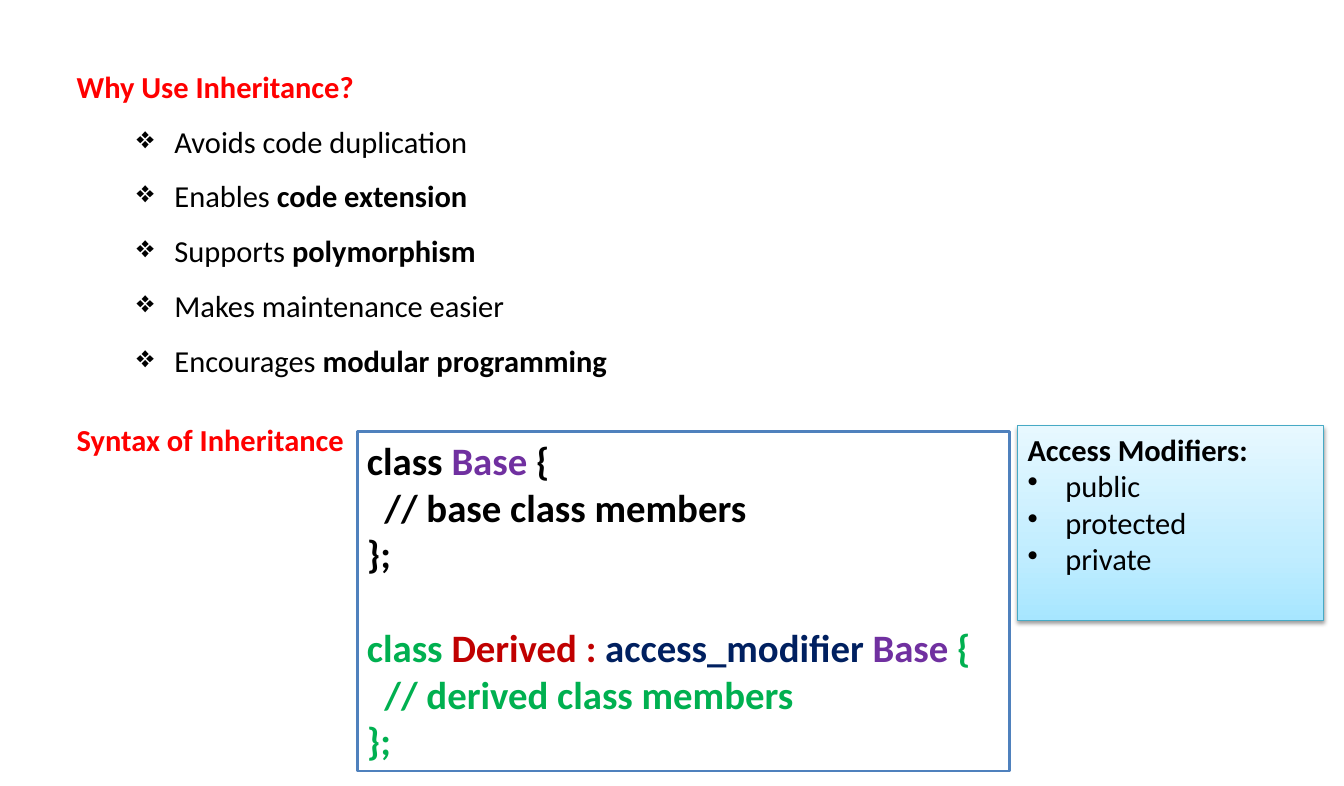
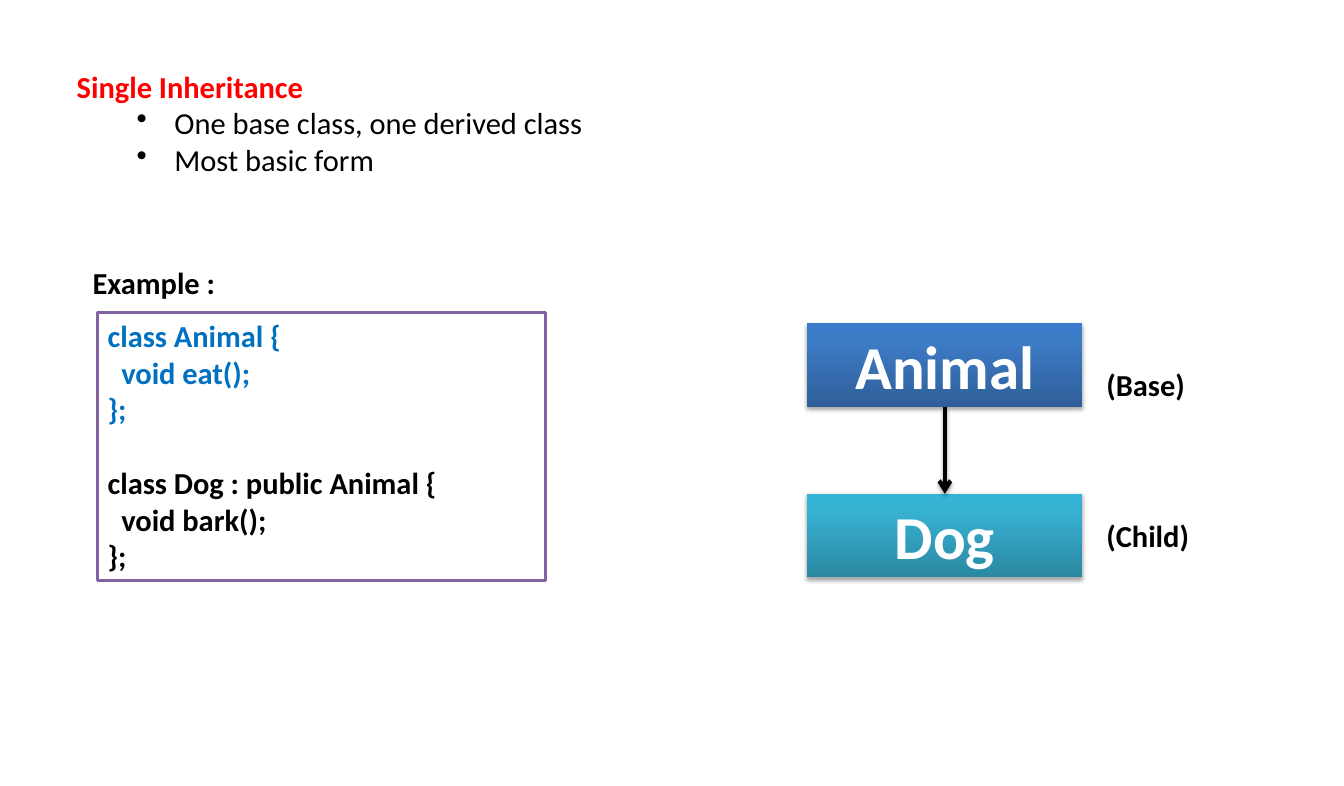
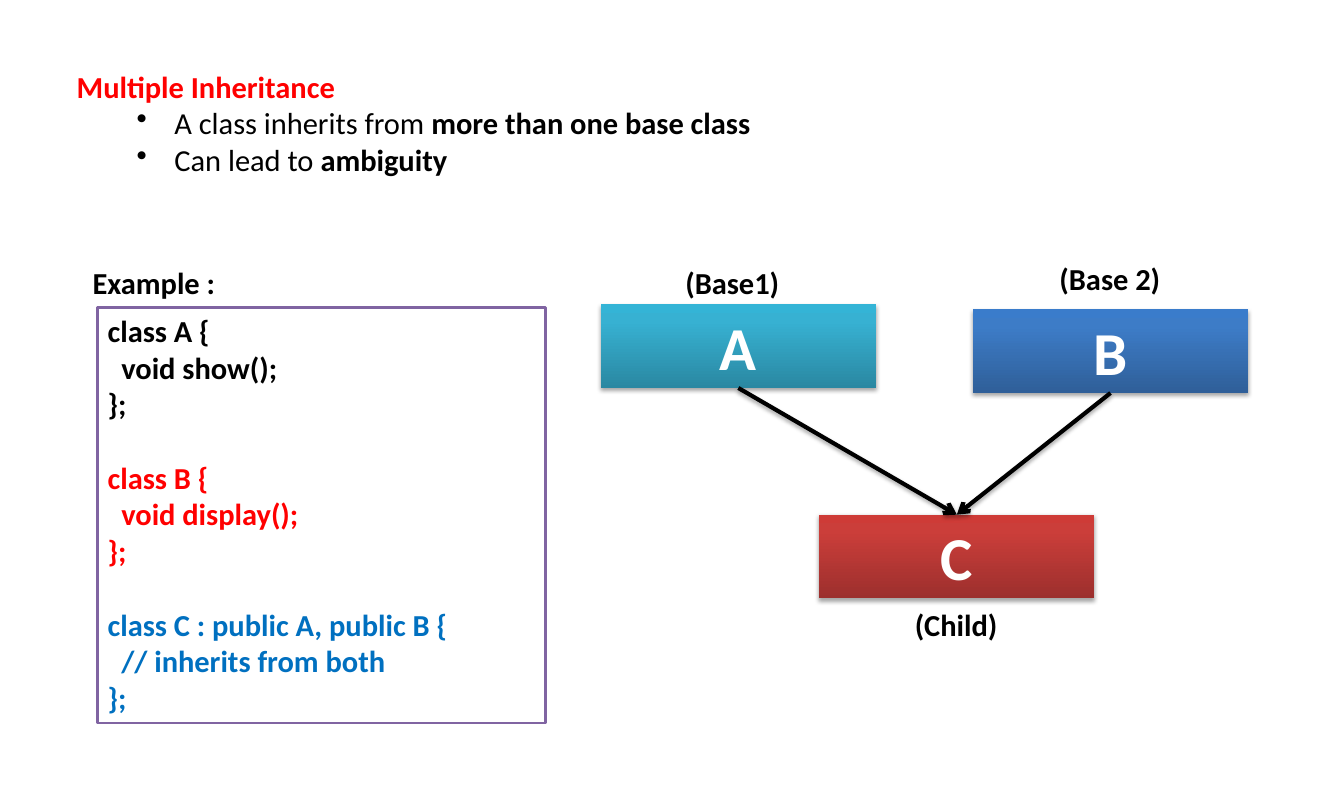
from copy import deepcopy

from lxml.etree import SubElement
from pptx import Presentation
from pptx.dml.color import RGBColor
from pptx.enum.shapes import MSO_CONNECTOR as Connector, MSO_SHAPE as Shape
from pptx.enum.text import MSO_ANCHOR as Anchor, PP_ALIGN as Align
from pptx.oxml.ns import qn
from pptx.util import Inches, Pt

BLACK = RGBColor(0x00, 0x00, 0x00)
WHITE = RGBColor(0xFF, 0xFF, 0xFF)
RED = RGBColor(0xFF, 0x00, 0x00)
DARK_RED = RGBColor(0xC0, 0x00, 0x00)
GREEN = RGBColor(0x00, 0xB0, 0x50)
BLUE = RGBColor(0x00, 0x70, 0xC0)
NAVY = RGBColor(0x00, 0x20, 0x60)
PURPLE = RGBColor(0x70, 0x30, 0xA0)
BORDER_BLUE = RGBColor(0x4F, 0x81, 0xBD)
BORDER_PURPLE = RGBColor(0x80, 0x64, 0xA2)
BORDER_CYAN = RGBColor(0x46, 0xAA, 0xC5)

BLUE_GRADIENT = (
    (0, RGBColor(0x2F, 0x5F, 0x99)),
    (0.8, RGBColor(0x3D, 0x7C, 0xC7)),
    (1, RGBColor(0x3A, 0x7C, 0xCB)),
)
CYAN_GRADIENT = (
    (0, RGBColor(0x2A, 0x88, 0xA2)),
    (0.8, RGBColor(0x37, 0xB1, 0xD2)),
    (1, RGBColor(0x34, 0xB4, 0xD6)),
)
RED_GRADIENT = (
    (0, RGBColor(0x9C, 0x2F, 0x2D)),
    (0.8, RGBColor(0xCB, 0x3E, 0x3A)),
    (1, RGBColor(0xCE, 0x3B, 0x37)),
)
PALE_GRADIENT = (
    (0, RGBColor(0xA7, 0xE6, 0xFF)),
    (0.35, RGBColor(0xC1, 0xED, 0xFF)),
    (1, RGBColor(0xE7, 0xF8, 0xFF)),
)


class Deck:
    font = "Calibri"
    body_size = 22
    node_size = 44
    line_height = 1.22
    code_indent = 0.45
    hanging = 0.38

    def __init__(self, width, height):
        self.presentation = Presentation()
        self.presentation.slide_width = Inches(width)
        self.presentation.slide_height = Inches(height)
        self.slide = None

    def new_slide(self):
        self.slide = self.presentation.slides.add_slide(self.presentation.slide_layouts[6])

    def add_text(self, shape, runs, size=body_size, align=Align.LEFT, before=0):
        frame = shape.text_frame
        frame.word_wrap = True
        frame.vertical_anchor = Anchor.TOP
        paragraph = frame.paragraphs[0]
        if paragraph.runs:
            paragraph = frame.add_paragraph()
        paragraph.alignment = align
        paragraph.space_before = Pt(before)
        for text, color, bold in runs:
            run = paragraph.add_run()
            run.text = text
            run.font.name = self.font
            run.font.size = Pt(size)
            run.font.bold = bold
            run.font.color.rgb = color
        return paragraph

    def bullet(self, shape, parts, mark="•", margin=hanging, spacing=1.0):
        runs = [(text, BLACK, index == 1) for index, text in enumerate(parts)]
        paragraph = self.add_text(shape, runs)
        paragraph.line_spacing = spacing
        properties = paragraph._p.get_or_add_pPr()
        properties.set("marL", str(Inches(margin)))
        properties.set("indent", str(-Inches(self.hanging)))
        SubElement(properties, qn("a:buChar")).set("char", mark)

    def label(self, text, left, top, width, height=0.47, color=BLACK):
        box = self.slide.shapes.add_textbox(
            Inches(left), Inches(top), Inches(width), Inches(height))
        self.add_text(box, [(text, color, True)])
        return box

    def topic(self, title, bullets, height, mark="•", spacing=1.0):
        box = self.label(title, 0.67, 0.63, 12.21, height, RED)
        for parts in bullets:
            self.bullet(box, parts, mark, 0.98, spacing)

    def effect(self, shape, alpha=None, distance=1.8):
        effects = SubElement(shape._element.spPr, qn("a:effectLst"))
        if alpha is None:
            return
        shadow = SubElement(effects, qn("a:outerShdw"))
        shadow.set("blurRad", str(Pt(3.1)))
        shadow.set("dist", str(Pt(distance)))
        shadow.set("dir", "5400000")
        shadow.set("rotWithShape", "0")
        color = SubElement(shadow, qn("a:srgbClr"))
        color.set("val", str(BLACK))
        SubElement(color, qn("a:alpha")).set("val", str(alpha * 1000))

    def rectangle(self, left, top, width, height, gradient=None, border=None, weight=2):
        shape = self.slide.shapes.add_shape(
            Shape.RECTANGLE, Inches(left), Inches(top), Inches(width), Inches(height))
        if gradient:
            shape.fill.gradient()
            shape.fill.gradient_angle = 90
            stop_list = next(shape._element.spPr.iter(qn("a:gsLst")))
            stop_list.append(deepcopy(stop_list[0]))
            for stop, (position, color) in zip(shape.fill.gradient_stops, gradient):
                stop.position = position
                stop.color.rgb = color
        else:
            shape.fill.solid()
            shape.fill.fore_color.rgb = WHITE
        if border:
            shape.line.color.rgb = border
            shape.line.width = Pt(weight)
        else:
            shape.line.fill.background()
        return shape

    def code(self, left, top, width, height, border, classes, size=body_size):
        shape = self.rectangle(left, top, width, height, border=border)
        self.effect(shape)
        for index, (color, header, body) in enumerate(classes):
            before = size * self.line_height if index else 0
            self.add_text(shape, [(text, tint, True) for text, tint in header], size, before=before)
            paragraph = self.add_text(shape, [(body, color, True)], size)
            paragraph._p.get_or_add_pPr().set("marL", str(Pt(size * self.code_indent)))
            self.add_text(shape, [("};", color, True)], size)

    def example(self, top, height, classes):
        blocks = [(color, [(header, color)], body) for color, header, body in classes]
        self.code(0.98, top, 4.49, height, BORDER_PURPLE, blocks)
        self.label("Example :", 0.83, 2.6, 6.73)

    def node(self, name, left, top, gradient):
        shape = self.rectangle(left, top, 2.76, 0.84, gradient)
        self.effect(shape, 35)
        self.add_text(shape, [(name, WHITE, True)], self.node_size, Align.CENTER)
        return shape

    def arrow(self, parent, child):
        connector = self.slide.shapes.add_connector(Connector.STRAIGHT, 0, 0, 0, 0)
        connector.begin_connect(parent, 2)
        connector.end_connect(child, 0)
        connector.line.color.rgb = BLACK
        connector.line.width = Pt(3)
        outline = connector._element.spPr.find(qn("a:ln"))
        SubElement(outline, qn("a:tailEnd")).set("type", "arrow")
        self.effect(connector, 35)

    def panel(self, title, items, left, top, width, height):
        shape = self.rectangle(left, top, width, height, PALE_GRADIENT, BORDER_CYAN, 0.75)
        self.effect(shape, 38, 1.6)
        self.add_text(shape, [(title, BLACK, True)])
        for item in items:
            self.bullet(shape, [item])


def overview(deck):
    deck.new_slide()
    deck.topic("Why Use Inheritance?", [
        ["Avoids code duplication"],
        ["Enables ", "code extension"],
        ["Supports ", "polymorphism"],
        ["Makes maintenance easier"],
        ["Encourages ", "modular programming"],
    ], 3.19, "❖", 1.5)
    deck.label("Syntax of Inheritance", 0.67, 4.17, 2.91, color=RED)
    base_header = [("class ", BLACK), ("Base", PURPLE), (" {", BLACK)]
    derived_header = [("class ", GREEN), ("Derived : ", DARK_RED), ("access_modifier ", NAVY),
                      ("Base", PURPLE), (" {", GREEN)]
    deck.code(3.58, 4.33, 6.54, 3.4, BORDER_BLUE, [
        (BLACK, base_header, "// base class members"),
        (GREEN, derived_header, "// derived class members"),
    ], 28)
    deck.panel("Access Modifiers:", ["public", "protected", "private"], 10.2, 4.27, 3.07, 1.95)


def single_inheritance(deck):
    deck.new_slide()
    deck.topic("Single Inheritance", [
        ["One base class, one derived class"],
        ["Most basic form"],
    ], 1.21)
    deck.example(3.13, 2.69, [
        (BLUE, "class Animal {", "void eat();"),
        (BLACK, "class Dog : public Animal {", "void bark();"),
    ])
    animal = deck.node("Animal", 8.09, 3.24, BLUE_GRADIENT)
    dog = deck.node("Dog", 8.09, 4.95, CYAN_GRADIENT)
    deck.arrow(animal, dog)
    deck.label("(Base)", 10.99, 3.62, 1.73)
    deck.label("(Child)", 10.99, 5.13, 1.1)


def multiple_inheritance(deck):
    deck.new_slide()
    deck.topic("Multiple Inheritance", [
        ["A class inherits from ", "more than one base class"],
        ["Can lead to ", "ambiguity"],
    ], 1.21)
    deck.example(3.08, 4.17, [
        (BLACK, "class A {", "void show();"),
        (RED, "class B {", "void display();"),
        (BLUE, "class C : public A, public B {", "// inherits from both"),
    ])
    first_base = deck.node("A", 6.02, 3.05, CYAN_GRADIENT)
    second_base = deck.node("B", 9.75, 3.1, BLUE_GRADIENT)
    child = deck.node("C", 8.21, 5.16, RED_GRADIENT)
    for parent in (first_base, second_base):
        deck.arrow(parent, child)
    deck.label("(Base1)", 6.77, 2.6, 1.5)
    deck.label("(Base 2)", 10.52, 2.56, 1.25)
    deck.label("(Child)", 9.07, 6.03, 1.1)


def main():
    deck = Deck(13.47, 7.88)
    overview(deck)
    single_inheritance(deck)
    multiple_inheritance(deck)
    deck.presentation.save("out.pptx")


if __name__ == "__main__":
    main()
